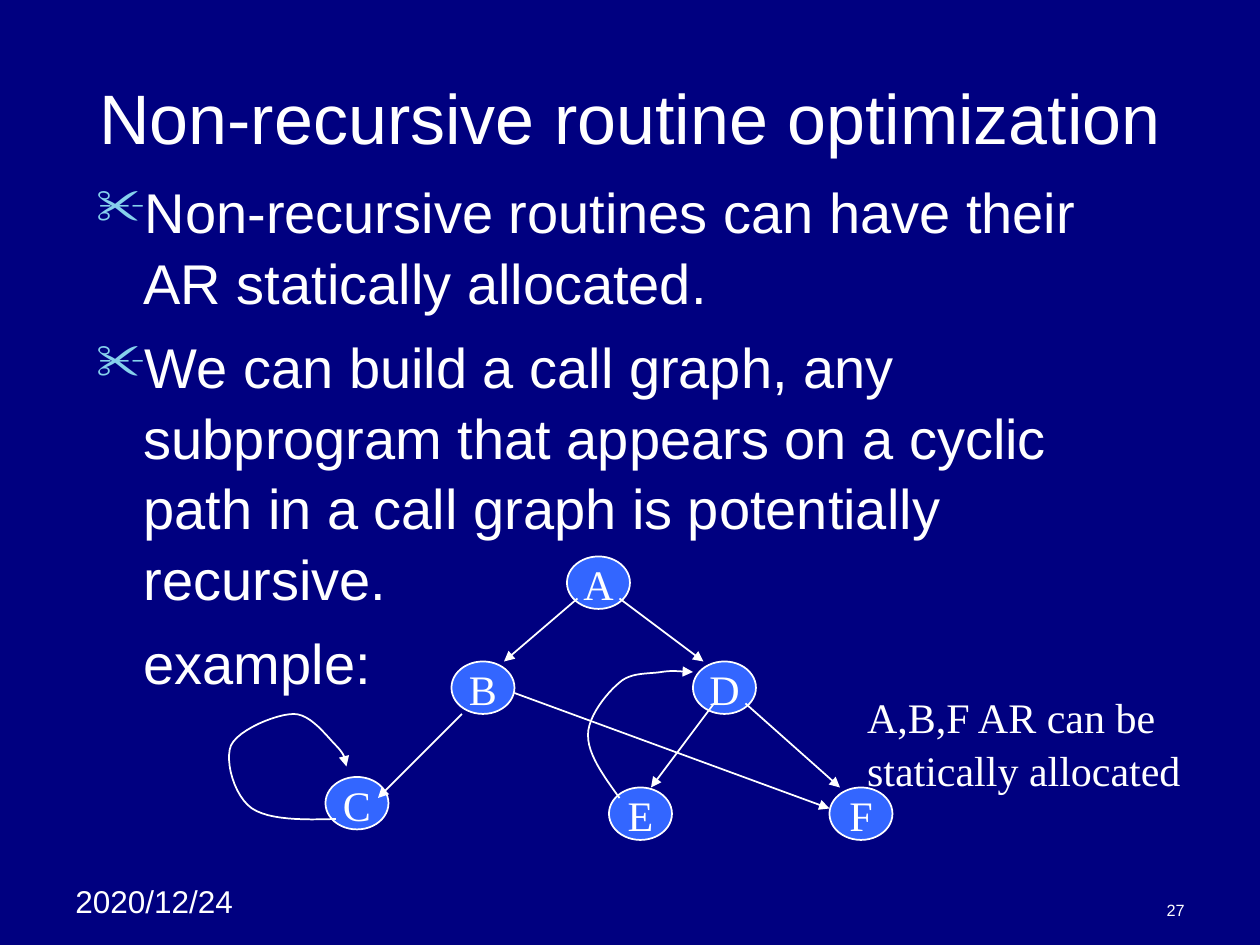
from dataclasses import dataclass
from typing import NamedTuple

from lxml import etree
from pptx import Presentation
from pptx import util as u
from pptx.dml.color import RGBColor
from pptx.enum import shapes, text
from pptx.oxml.ns import qn


@dataclass(frozen=True)
class Theme:
    background: RGBColor = RGBColor(0x00, 0x00, 0x80)
    ink: RGBColor = RGBColor(0xFF, 0xFF, 0xFF)
    node: RGBColor = RGBColor(0x33, 0x66, 0xFF)
    bullet: str = "86D1EC"
    sans: str = "Arial"
    serif: str = "Times New Roman"
    title: float = 40
    body: float = 32
    label: float = 24
    date: float = 18
    number: float = 9.3
    line: float = 1
    spacing: float = 1.05


class Point(NamedTuple):
    x: float
    y: float


class Area(NamedTuple):
    left: float
    top: float
    width: float
    height: float


class Node(NamedTuple):
    name: str
    corner: Point


class Edge(NamedTuple):
    start: Point
    end: Point


class Curve(NamedTuple):
    start: Point
    segments: list[tuple[Point, Point, Point]]


THEME = Theme()
CELLS_PER_INCH = 12
NODE_SIZE = (6, 5)
CURVE_STEPS = 12
BODY_INDENT = 4.5

NODES = [
    Node("A", Point(54, 53)),
    Node("B", Point(43, 63)),
    Node("C", Point(31, 74)),
    Node("D", Point(66, 63)),
    Node("E", Point(58, 75)),
    Node("F", Point(79, 75)),
]
EDGES = [
    Edge(Point(55, 57), Point(48, 63)),
    Edge(Point(44, 68), Point(36, 76)),
    Edge(Point(59, 57), Point(67, 63)),
    Edge(Point(68, 67), Point(62, 75)),
    Edge(Point(71, 67), Point(80, 75)),
    Edge(Point(49, 66), Point(79, 77)),
]
CURVES = [
    Curve(Point(32, 78), [
        (Point(28.8, 78.1), Point(25.7, 78.1), Point(24, 77)),
        (Point(22.3, 75.8), Point(21.4, 72.5), Point(22, 71)),
        (Point(22.7, 69.5), Point(26.3, 68), Point(28, 68)),
        (Point(29.6, 68), Point(31.2, 70.2), Point(32, 71)),
        (Point(32.9, 71.9), Point(32.9, 72.4), Point(33, 73)),
    ]),
    Curve(Point(59, 76), [
        (Point(57.5, 73.9), Point(56, 71.9), Point(56, 70)),
        (Point(56, 68.2), Point(57.8, 66), Point(59, 65)),
        (Point(60.1, 64), Point(61.8, 64.2), Point(63, 64)),
        (Point(64.2, 63.8), Point(65, 64), Point(66, 64)),
    ]),
]


def grid(cells: float) -> u.Length:
    return u.Cm(cells * 2.54 / CELLS_PER_INCH)


def write(frame, lines: list[str], *, size: float, font: str = THEME.sans,
          align=text.PP_ALIGN.LEFT, anchor=text.MSO_ANCHOR.TOP,
          wrap: bool = True, spacing: float = 1.0, gap: float = 0,
          indent: float = 0, bullets: int = 0) -> None:
    frame.word_wrap = wrap
    frame.vertical_anchor = anchor
    for index, line in enumerate(lines):
        para = frame.paragraphs[0] if index == 0 else frame.add_paragraph()
        para.alignment = align
        para.line_spacing = spacing
        para.space_before = u.Pt(gap if index else 0)
        properties = para._p.get_or_add_pPr()
        if indent:
            properties.set("marL", str(grid(indent)))
        if index < bullets:
            properties.set("indent", str(-grid(indent)))
            color = etree.SubElement(properties, qn("a:buClr"))
            etree.SubElement(color, qn("a:srgbClr"), val=THEME.bullet)
            etree.SubElement(properties, qn("a:buSzPct"), val="90000")
            etree.SubElement(properties, qn("a:buChar"), char="✂")
        span = para.add_run()
        span.text = line
        span.font.size = u.Pt(size)
        span.font.name = font
        span.font.color.rgb = THEME.ink


def add_text(page, area: Area, lines: list[str], **style) -> None:
    box = page.shapes.add_textbox(*map(grid, area))
    write(box.text_frame, lines, **style)


def outline(shape, arrow: bool = False) -> None:
    shape.line.color.rgb = THEME.ink
    shape.line.width = u.Pt(THEME.line)
    if arrow:
        etree.SubElement(shape.line._get_or_add_ln(), qn("a:tailEnd"), type="triangle")


def draw_node(page, node: Node) -> None:
    oval = page.shapes.add_shape(
        shapes.MSO_SHAPE.OVAL, *map(grid, (*node.corner, *NODE_SIZE)))
    oval.shadow.inherit = False
    oval.fill.solid()
    oval.fill.fore_color.rgb = THEME.node
    outline(oval)
    write(oval.text_frame, [node.name], size=THEME.label, font=THEME.serif,
          align=text.PP_ALIGN.CENTER, anchor=text.MSO_ANCHOR.MIDDLE,
          wrap=False, spacing=THEME.spacing)


def draw_edge(page, edge: Edge) -> None:
    arrow = page.shapes.add_connector(
        shapes.MSO_CONNECTOR.STRAIGHT, *map(grid, (*edge.start, *edge.end)))
    outline(arrow, arrow=True)
    etree.SubElement(arrow._element.spPr, qn("a:effectLst"))


def bezier(a: float, b: float, c: float, d: float, t: float) -> float:
    s = 1 - t
    return s**3 * a + 3 * s * s * t * b + 3 * s * t * t * c + t**3 * d


def draw_curve(page, curve: Curve) -> None:
    start, points = curve.start, []
    for first, second, end in curve.segments:
        for step in range(1, CURVE_STEPS + 1):
            t = step / CURVE_STEPS
            points.append(tuple(grid(bezier(*axis, t))
                                for axis in zip(start, first, second, end)))
        start = end
    builder = page.shapes.build_freeform(*map(grid, curve.start))
    builder.add_line_segments(points, close=False)
    loop = builder.convert_to_shape()
    loop.shadow.inherit = False
    loop.fill.background()
    outline(loop, arrow=True)


def main() -> None:
    deck = Presentation()
    deck.slide_width, deck.slide_height = u.Cm(25.4), u.Cm(19.05)
    page = deck.slides.add_slide(deck.slide_layouts[6])
    page.background.fill.solid()
    page.background.fill.fore_color.rgb = THEME.background

    add_text(page, Area(6, 83.4, 19, 4.8), ["2020/12/24"], size=THEME.date)
    add_text(page, Area(86, 85, 28, 3.2), ["27"], size=THEME.number,
             align=text.PP_ALIGN.RIGHT, anchor=text.MSO_ANCHOR.BOTTOM)
    add_text(page, Area(6, 3.6, 108, 15), ["Non-recursive routine optimization"],
             size=THEME.title, align=text.PP_ALIGN.CENTER,
             anchor=text.MSO_ANCHOR.MIDDLE)
    add_text(page, Area(8, 16, 102, 65), [
        "Non-recursive routines can have their AR statically allocated.",
        "We can build a call graph, any subprogram that appears on a cyclic "
        "path in a call graph is potentially recursive.",
        "example:",
    ], size=THEME.body, spacing=THEME.spacing, gap=8, indent=BODY_INDENT, bullets=2)

    for node in NODES:
        draw_node(page, node)
    for edge in EDGES:
        draw_edge(page, edge)
    for curve in CURVES:
        draw_curve(page, curve)
    add_text(page, Area(81.4, 65, 32.3, 10.8),
             ["A,B,F AR can be", "statically allocated"], size=THEME.label,
             font=THEME.serif, wrap=False, spacing=THEME.spacing)
    deck.save("out.pptx")


if __name__ == "__main__":
    main()
